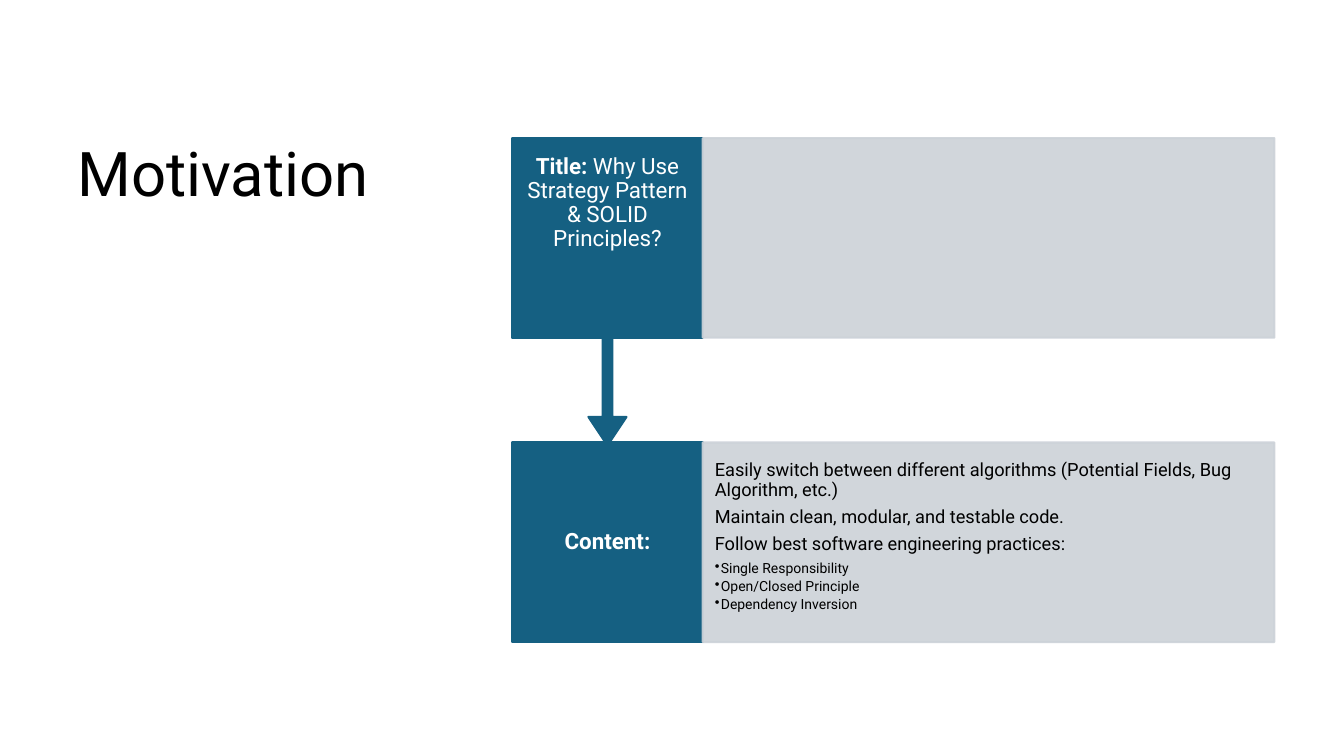
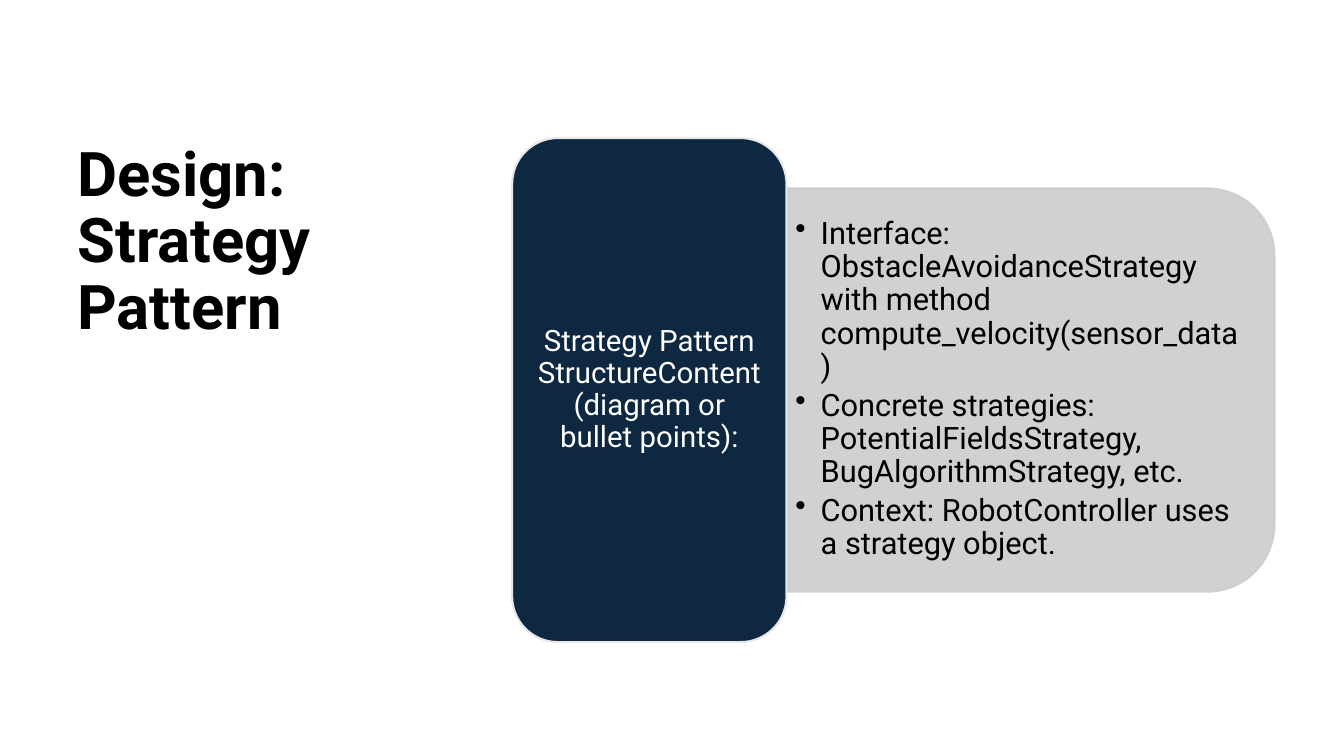
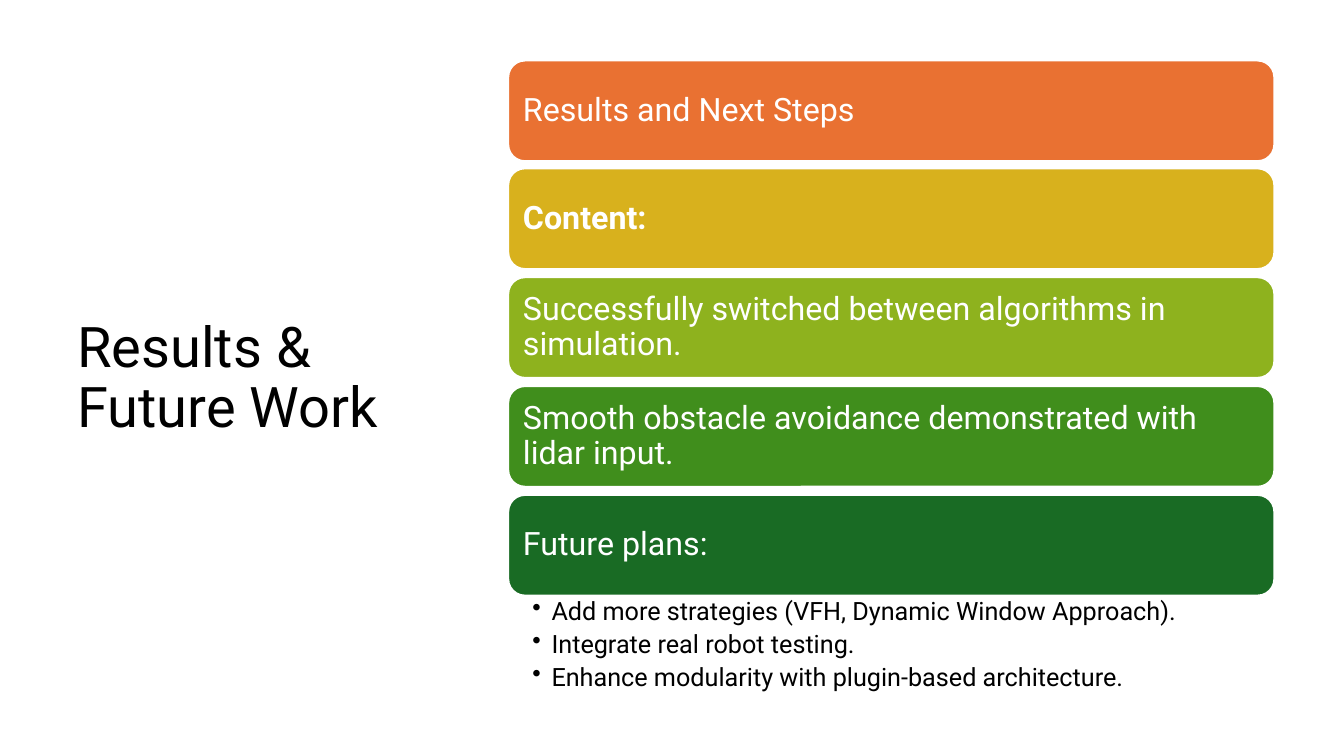
import lxml.etree
import pptx
import pptx.dml.color
import pptx.enum.shapes
import pptx.enum.text
import pptx.oxml.ns
import pptx.util

PX = 9144  # EMU; 100 px to the inch
FONT = "Roboto"
BLACK, WHITE = "000000", "FFFFFF"
TEAL, PALE_BLUE = "156082", "CCD2D8"
NAVY, PALE_GREY, EDGE_GREY = "0E2841", "CCCDCF", "E8E8E8"
LINE_HEIGHT = 1.17  # of the font size; paragraph gaps are a share of it

SHAPE = pptx.enum.shapes.MSO_SHAPE
ANCHOR = pptx.enum.text.MSO_ANCHOR
ALIGN = pptx.enum.text.PP_ALIGN


def px(*lengths):
    return [pptx.util.Emu(length * PX) for length in lengths]


def rgb(hex_color):
    return pptx.dml.color.RGBColor.from_string(hex_color)


def add_bullet(paragraph, hang):
    """Give the paragraph a bullet in a hanging indent of hang px."""
    properties = paragraph._p.get_or_add_pPr()
    properties.set("marL", str(hang * PX))
    properties.set("indent", str(-hang * PX))
    bullet = lxml.etree.SubElement(properties, pptx.oxml.ns.qn("a:buChar"))
    bullet.set("char", "•")


def set_up_frame(shape, insets, anchor):
    frame = shape.text_frame
    frame.word_wrap = True
    frame.auto_size = pptx.enum.text.MSO_AUTO_SIZE.NONE
    frame.vertical_anchor = anchor
    (frame.margin_left, frame.margin_top,
     frame.margin_right, frame.margin_bottom) = px(*insets)
    return frame


def write(frame, lines, size, color, gap=0.35, hang=0, align=ALIGN.LEFT,
          bold=False):
    """Append lines to the frame; gap is a share of the line height."""
    for line in lines:
        paragraph = frame.paragraphs[0]
        if paragraph.text:
            paragraph = frame.add_paragraph()
        paragraph.text = line
        if hang:
            add_bullet(paragraph, hang)
        paragraph.alignment = align
        paragraph.line_spacing = 0.9
        paragraph.space_after = pptx.util.Pt(
            round(gap * size * LINE_HEIGHT, 1))
        for run in paragraph.runs:
            run.font.name = FONT
            run.font.size = pptx.util.Pt(size)
            run.font.bold = bold
            run.font.color.rgb = rgb(color)


def add_text(slide, box, insets, anchor=ANCHOR.TOP):
    return set_up_frame(slide.shapes.add_textbox(*px(*box)), insets, anchor)


def add_panel(slide, preset, box, fill, edge, opacity=100):
    panel = slide.shapes.add_shape(preset, *px(*box))
    panel.shadow.inherit = False
    panel.fill.solid()
    panel.fill.fore_color.rgb = rgb(fill)
    panel.line.color.rgb = rgb(edge)
    panel.line.width = pptx.util.Pt(1.5)
    if opacity < 100:
        for color in panel.element.spPr.iter(pptx.oxml.ns.qn("a:srgbClr")):
            alpha = lxml.etree.SubElement(color, pptx.oxml.ns.qn("a:alpha"))
            alpha.set("val", str(opacity * 1000))
    return panel


def add_title(slide, text, top, height, size=44, bold=False,
              anchor=ANCHOR.TOP):
    frame = add_text(slide, (67, top, 382, height), (10, 5, 10, 5), anchor)
    write(frame, [text], size, BLACK, gap=0, bold=bold)


def add_motivation(slide, left, top, width, height):
    """Two labelled rows, the first pointing down at the second."""
    label_width, row_height, arrow_length = 189, 198, 107
    detail_left, detail_width = left + label_width, width - label_width
    second_top = top + height - row_height

    content = add_panel(slide, SHAPE.RECTANGLE,
                        (left, second_top, label_width, row_height),
                        TEAL, TEAL)
    write(set_up_frame(content, (13, 12, 13, 12), ANCHOR.MIDDLE),
          ["Content:"], 16, WHITE, align=ALIGN.CENTER, bold=True)

    callout = add_panel(slide, SHAPE.DOWN_ARROW_CALLOUT,
                        (left, top, label_width, row_height + arrow_length),
                        TEAL, TEAL)
    for index, share in enumerate((0.05, 0.1, 0.15, 0.65)):
        callout.adjustments[index] = share
    question = set_up_frame(callout, (13, 12, 13, 81), ANCHOR.MIDDLE)
    write(question, ["Title:"], 16, WHITE, align=ALIGN.CENTER, bold=True)
    rest = question.paragraphs[0].add_run()
    rest.text = " Why Use Strategy Pattern & SOLID Principles?"
    rest.font.name = FONT
    rest.font.size = pptx.util.Pt(16)
    rest.font.color.rgb = rgb(WHITE)

    for row_top in (top, second_top):
        detail = add_panel(slide, SHAPE.RECTANGLE,
                           (detail_left, row_top, detail_width, row_height),
                           PALE_BLUE, PALE_BLUE, opacity=90)
    reasons = set_up_frame(detail, (12, 18, 12, 18), ANCHOR.TOP)
    write(reasons, [
        "Easily switch between different algorithms "
        "(Potential Fields, Bug Algorithm, etc.)",
        "Maintain clean, modular, and testable code.",
        "Follow best software engineering practices:",
    ], 13, BLACK)
    write(reasons, ["Single Responsibility", "Open/Closed Principle",
                    "Dependency Inversion"], 10, BLACK, gap=0.15, hang=6)


def add_strategy(slide, left, top, width, height):
    """A dark label with a lower, right-rounded panel beside it."""
    label_width, panel_height = 272, 400
    panel_left, panel_width = left + label_width, width - label_width
    panel_top = top + (height - panel_height) // 2

    # The preset is upright before its quarter turn about the centre.
    shift = (panel_width - panel_height) // 2
    panel = add_panel(slide, SHAPE.ROUND_2_SAME_RECTANGLE,
                      (panel_left + shift, panel_top - shift,
                       panel_height, panel_width),
                      PALE_GREY, PALE_GREY, opacity=90)
    panel.rotation = 90
    parts = add_text(slide, (panel_left, panel_top + 19, panel_width - 20,
                             panel_height - 39), (9, 5, 9, 5), ANCHOR.MIDDLE)
    write(parts, [
        "Interface: ObstacleAvoidanceStrategy with method "
        "compute_velocity(sensor_data)",
        "Concrete strategies: PotentialFieldsStrategy, "
        "BugAlgorithmStrategy, etc.",
        "Context: RobotController uses a strategy object.",
    ], 22, BLACK, gap=0.15, hang=25)

    label = add_panel(slide, SHAPE.ROUNDED_RECTANGLE,
                      (left, top, label_width, height), NAVY, EDGE_GREY)
    write(set_up_frame(label, (9, 4, 9, 4), ANCHOR.MIDDLE),
          ["Strategy Pattern StructureContent (diagram or bullet points):"],
          21, WHITE, align=ALIGN.CENTER)


def add_results(slide, left, top, width, height):
    """A stack of coloured bars above a bulleted list."""
    bar_height, plans_height = 100, 102
    bars = [
        ("Results and Next Steps", "E97132", False),
        ("Content:", "D8B11D", True),
        ("Successfully switched between algorithms in simulation.",
         "8EB21E", False),
        ("Smooth obstacle avoidance demonstrated with lidar input.",
         "408E1C", False),
        ("Future plans:", "196B24", False),
    ]
    travel = height - plans_height - bar_height
    for index, (text, color, bold) in enumerate(bars):
        bar_top = top + index * travel // (len(bars) - 1)
        bar = add_panel(slide, SHAPE.ROUNDED_RECTANGLE,
                        (left, bar_top, width, bar_height), color, WHITE)
        write(set_up_frame(bar, (10, 10, 10, 10), ANCHOR.MIDDLE),
              [text], 23, WHITE, bold=bold)

    plans = add_text(slide, (left, top + height - plans_height, width,
                             plans_height), (24, 3, 18, 3))
    write(plans, [
        "Add more strategies (VFH, Dynamic Window Approach).",
        "Integrate real robot testing.",
        "Enhance modularity with plugin-based architecture.",
    ], 18, BLACK, gap=0.2, hang=19)


def main():
    deck = pptx.Presentation()
    deck.slide_width, deck.slide_height = px(1333, 750)
    blank = deck.slide_layouts[6]

    motivation = deck.slides.add_slide(blank)
    add_title(motivation, "Motivation", 137, 500)
    add_motivation(motivation, 508, 137, 756, 500)

    design = deck.slides.add_slide(blank)
    add_title(design, "Design: Strategy Pattern", 137, 500, bold=True)
    add_strategy(design, 508, 137, 756, 500)

    results = deck.slides.add_slide(blank)
    add_title(results, "Results & Future Work", 60, 633, size=40,
              anchor=ANCHOR.MIDDLE)
    add_results(results, 504, 60, 760, 633)

    deck.save("out.pptx")


if __name__ == "__main__":
    main()
